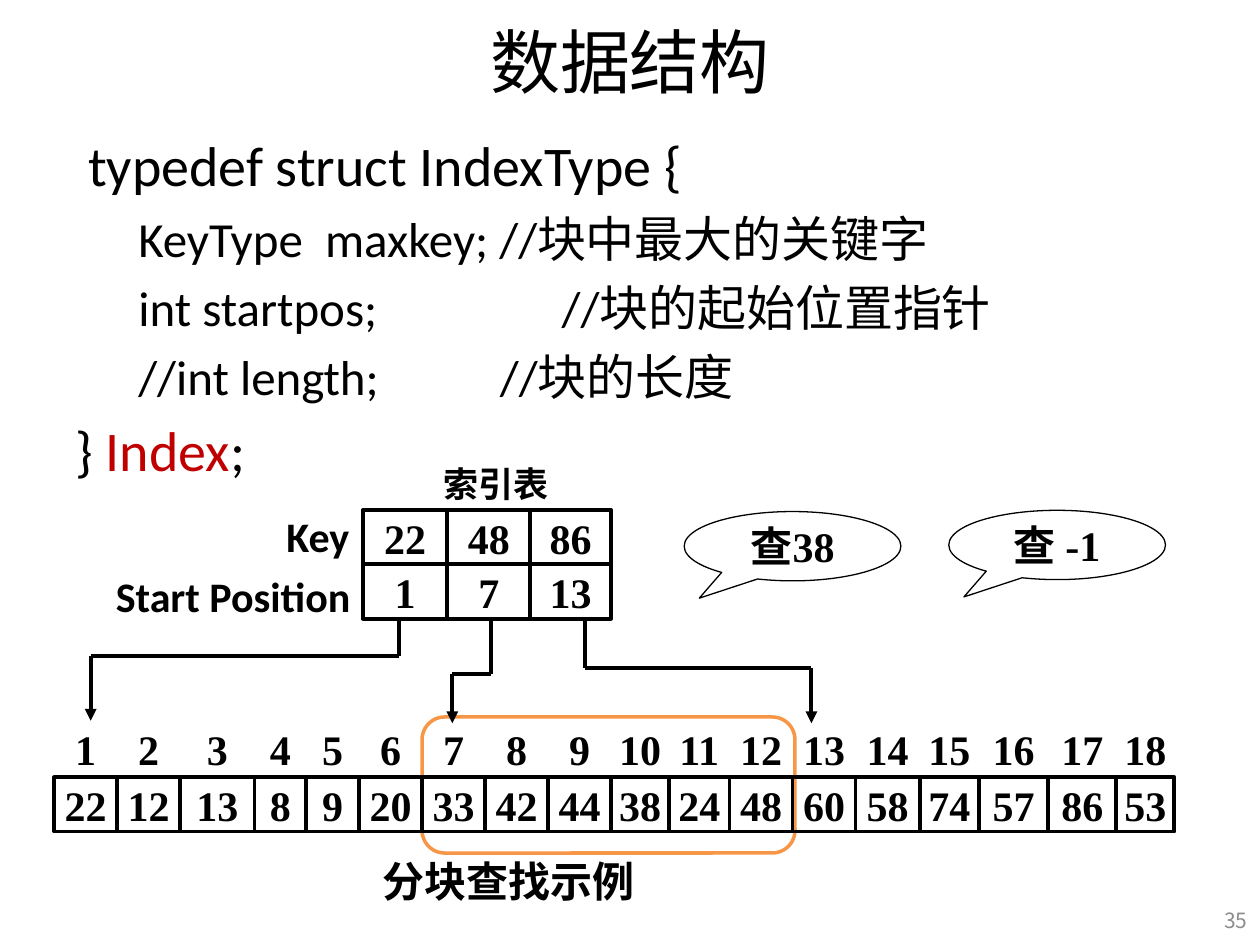
from lxml import etree
from pptx import Presentation
from pptx import util as u
from pptx.dml.color import RGBColor
from pptx.enum import shapes, text
from pptx.oxml import ns

COLORS = {"ink": "000000", "key": "C00000", "block": "F79646", "paper": "FFFFFF", "number": "8C8C8C"}
COLUMNS, ROWS = 100, 75
SANS, SERIF, CHINESE = "Calibri", "Times New Roman", "Noto Sans CJK SC"
LEFT, CENTER, RIGHT = text.PP_ALIGN.LEFT, text.PP_ALIGN.CENTER, text.PP_ALIGN.RIGHT
SHAPE = shapes.MSO_SHAPE

ARRAY_EDGES = [4.3, 9.3, 14.3, 20.2, 24.3, 28.5, 33.5, 38.5, 43.5, 48.5,
               53.1, 57.9, 62.9, 67.9, 73, 77.7, 83.2, 88.6, 93.2]
ARRAY_VALUES = [22, 12, 13, 8, 9, 20, 33, 42, 44, 38, 24, 48, 60, 58, 74, 57, 86, 53]
INDEX_EDGES = [28.8, 35.5, 42.1, 48.5]
INDEX_ROWS = [[22, 48, 86], [1, 7, 13]]
CELL_HEIGHT = 4.3
POINTERS = [
    [(31.7, 49.2), (31.7, 52.1), (7.2, 52.1), (7.2, 57.2)],
    [(39, 49.2), (39, 53.5), (35.9, 53.5), (35.9, 57.4)],
    [(46.4, 49.2), (46.4, 53), (64.4, 53), (64.4, 57.4)],
]
CODE = [
    (32, [], [(" typedef struct IndexType {", "ink")]),
    (28, [5], [("\tKeyType  maxkey; //块中最大的关键字", "ink")]),
    (28, [5, 38.6], [("\tint startpos;\t//块的起始位置指针", "ink")]),
    (28, [5, 33.7], [("\t//int length;\t//块的长度", "ink")]),
    (32, [], [("} ", "ink"), ("Index", "key"), (";", "ink")]),
]


def grid(cells):
    """Return the length of a number of grid cells."""
    return u.Inches(cells * 10 / COLUMNS)


def color(name):
    """Return a named colour."""
    return RGBColor.from_string(COLORS[name])


def format_run(run, size, face, bold=False, ink="ink"):
    """Set the Latin and Chinese type of a run."""
    run.font.size = u.Pt(size)
    run.font.bold = bold
    run.font.color.rgb = color(ink)
    run.font.name = face
    properties = run.font._element
    etree.SubElement(properties, ns.qn("a:ea")).set("typeface", CHINESE)


def add_tabs(paragraph, stops, align="l"):
    """Put tab stops on a paragraph."""
    tabs = etree.SubElement(paragraph._p.get_or_add_pPr(), ns.qn("a:tabLst"))
    for stop in stops:
        etree.SubElement(tabs, ns.qn("a:tab"), pos=str(grid(stop)), algn=align)


def write(shape, words, size=24, face=SERIF, bold=True, align=CENTER, ink="ink", wrap=False):
    """Fill a shape with one middle-anchored paragraph."""
    frame = shape.text_frame
    frame.text = words
    frame.word_wrap = wrap
    frame.vertical_anchor = text.MSO_ANCHOR.MIDDLE
    paragraph = frame.paragraphs[0]
    paragraph.alignment = align
    format_run(paragraph.runs[0], size, face, bold, ink)


def add_label(slide, box, words, **style):
    """Add a text box holding one line."""
    write(slide.shapes.add_textbox(*map(grid, box)), words, **style)


def add_outline(slide, kind, box, width, ink="ink", fill=None):
    """Add an outlined preset shape."""
    shape = slide.shapes.add_shape(kind, *map(grid, box))
    shape.shadow.inherit = False
    if fill:
        shape.fill.solid()
        shape.fill.fore_color.rgb = color(fill)
    else:
        shape.fill.background()
    shape.line.color.rgb = color(ink)
    shape.line.width = u.Pt(width)
    return shape


def add_line(slide, start, end, arrow=False):
    """Add a straight line, with an arrowhead at its end if asked."""
    line = slide.shapes.add_connector(
        shapes.MSO_CONNECTOR.STRAIGHT, *map(grid, (*start, *end)))
    line.line.color.rgb = color("ink")
    line.line.width = u.Pt(2.25)
    if arrow:
        etree.SubElement(line.line._get_or_add_ln(), ns.qn("a:tailEnd"), type="triangle")
    etree.SubElement(line._element.spPr, ns.qn("a:effectLst"))


def add_pointer(slide, points):
    """Add a bent pointer that ends in an arrowhead."""
    for start, end in zip(points, points[1:]):
        add_line(slide, start, end, arrow=end == points[-1])


def write_row(shape, values, edges):
    """Centre each value between neighbouring edges."""
    write(shape, "".join(f"\t{value}" for value in values), align=LEFT, wrap=True)
    frame = shape.text_frame
    frame.margin_left = frame.margin_right = frame.margin_top = frame.margin_bottom = 0
    centers = [(a + b) / 2 - edges[0] for a, b in zip(edges, edges[1:])]
    add_tabs(frame.paragraphs[0], centers, "ctr")


def add_cells(slide, top, values, edges):
    """Add a row of boxed values."""
    box = (edges[0], top, edges[-1] - edges[0], CELL_HEIGHT)
    write_row(add_outline(slide, SHAPE.RECTANGLE, box, 2.25), values, edges)
    for edge in edges[1:-1]:
        add_line(slide, (edge, top), (edge, top + CELL_HEIGHT))


def add_code(slide):
    """Add the structure definition."""
    frame = slide.shapes.add_textbox(*map(grid, (5, 9.9, 90, 28))).text_frame
    frame.word_wrap = True
    for number, (size, stops, parts) in enumerate(CODE):
        paragraph = frame.add_paragraph() if number else frame.paragraphs[0]
        paragraph.line_spacing = u.Pt(size * 1.2)
        paragraph.space_before = u.Pt(5.8 if number else 0)
        if stops:
            add_tabs(paragraph, stops)
        for words, ink in parts:
            run = paragraph.add_run()
            run.text = words
            format_run(run, size, SANS, ink=ink)


def add_callout(slide, left, top, words):
    """Add a speech bubble with a search request."""
    shape = add_outline(slide, SHAPE.OVAL_CALLOUT, (left, top, 17.2, 5.5), 0.75)
    shape.adjustments[0], shape.adjustments[1] = -0.43, 0.75
    write(shape, words)


def main():
    """Build the slide and save it."""
    presentation = Presentation()
    presentation.slide_width, presentation.slide_height = grid(COLUMNS), grid(ROWS)
    slide = presentation.slides.add_slide(presentation.slide_layouts[6])

    add_outline(slide, SHAPE.ROUNDED_RECTANGLE, (33.5, 56.9, 29.6, 10.8), 2, "block", "paper")
    add_label(slide, (5, -0.3, 90, 10.2), "数据结构", size=40, face=SANS, bold=False, wrap=True)
    add_code(slide)
    add_label(slide, (95.7, 71, 4.3, 4), "35", size=12, face=CHINESE, bold=False,
              align=RIGHT, ink="number")

    left, right = ARRAY_EDGES[0], ARRAY_EDGES[-1]
    positions = slide.shapes.add_textbox(*map(grid, (left, 56.9, right - left, 5)))
    write_row(positions, range(1, len(ARRAY_VALUES) + 1), ARRAY_EDGES)
    add_cells(slide, 61.7, ARRAY_VALUES, ARRAY_EDGES)

    add_label(slide, (34.2, 36.2, 10.4, 4.3), "索引表", size=20, align=LEFT)
    for row, values in enumerate(INDEX_ROWS):
        add_cells(slide, 40.5 + row * CELL_HEIGHT, values, INDEX_EDGES)
    add_label(slide, (21.6, 40, 7.1, 5), "Key", face=SANS, align=RIGHT)
    add_label(slide, (7.9, 44.8, 20.9, 5), "Start Position", face=SANS, align=RIGHT)

    for points in POINTERS:
        add_pointer(slide, points)
    add_callout(slide, 54.3, 40.6, "查38")
    add_callout(slide, 75.3, 40.5, "查 -1")
    add_label(slide, (25.4, 67.7, 29.9, 4.4), "分块查找示例")
    presentation.save("out.pptx")


if __name__ == "__main__":
    main()
